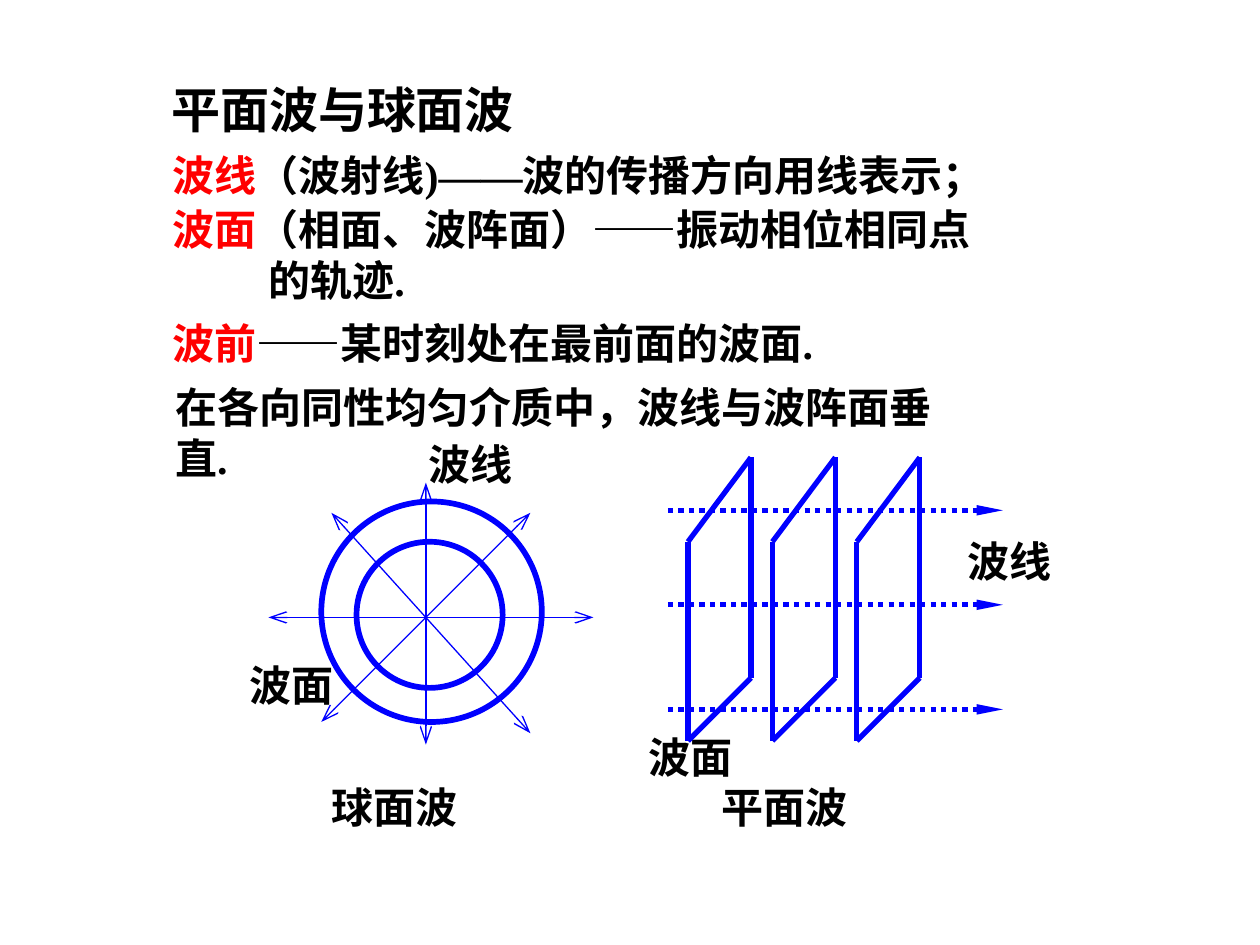
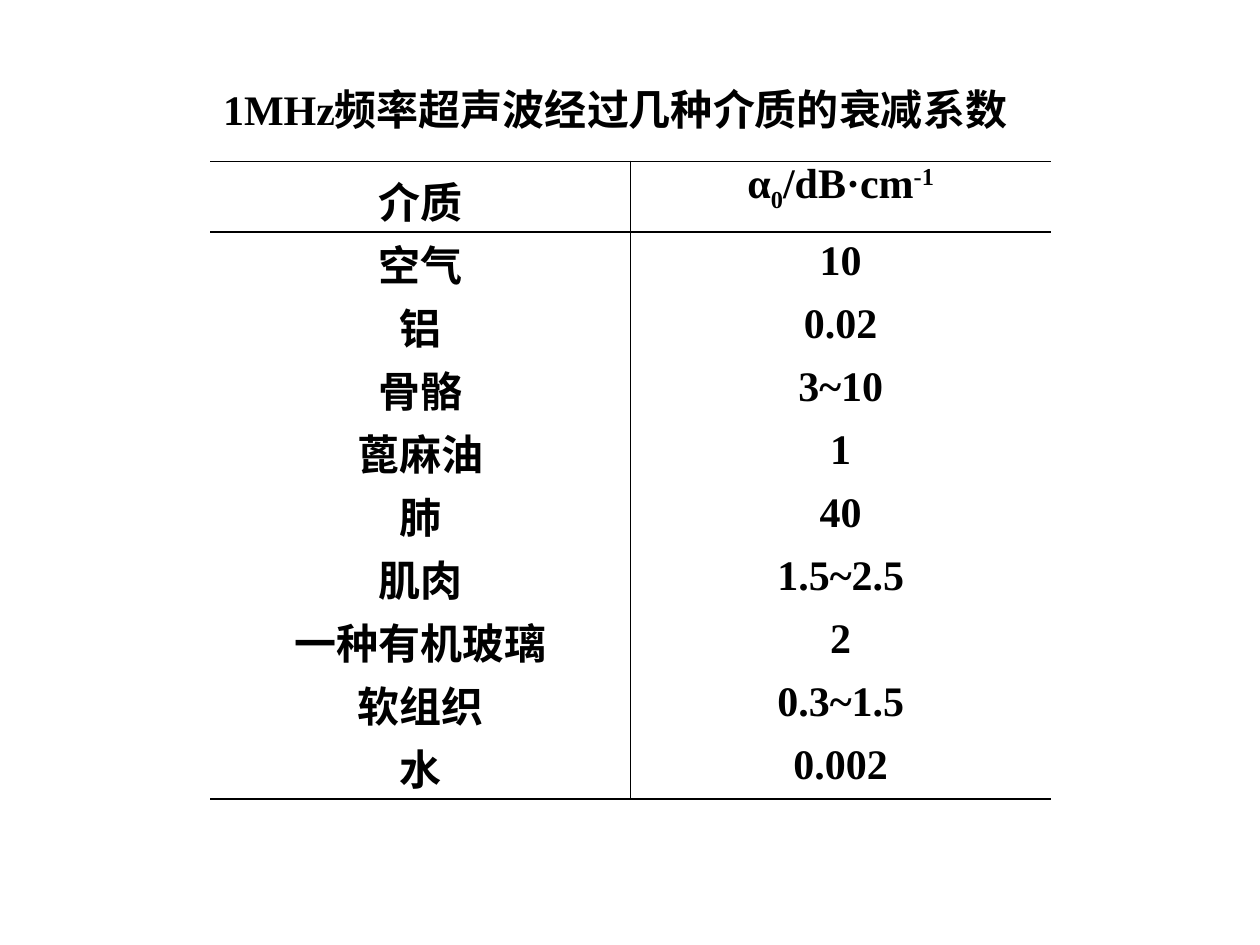
from lxml import etree
from pptx import Presentation
from pptx.dml.color import RGBColor
from pptx.enum.dml import MSO_LINE
from pptx.enum.shapes import MSO_CONNECTOR, MSO_SHAPE
from pptx.enum.text import MSO_ANCHOR, MSO_AUTO_SIZE, PP_ALIGN
from pptx.oxml.ns import qn
from pptx.util import Inches, Pt

STRAIGHT, OVAL = MSO_CONNECTOR.STRAIGHT, MSO_SHAPE.OVAL
DOTTED = MSO_LINE.ROUND_DOT
LEFT, CENTER, TOP = PP_ALIGN.LEFT, PP_ALIGN.CENTER, MSO_ANCHOR.TOP
NO_AUTOFIT = MSO_AUTO_SIZE.NONE

COLORS = {"text": "000000", "term": "FF0000", "wave": "0000FF"}
LATIN, CJK = "Times New Roman", "Noto Sans CJK SC"
TEXT_SIZE = 24
LINE_FACTOR = 1.3

# term, lines of its explanation, space before (pt), left margin (in), hanging indent (in)
DEFINITIONS = [
    ("波线", ["（波射线)——波的传播方向用线表示；"], 0, 0, 0),
    ("波面", ["（相面、波阵面）——振动相位相同点", "的轨迹."], 2, 0.76, 0.76),
    ("波前", ["——某时刻处在最前面的波面."], 7, 0, 0),
    ("", ["在各向同性均匀介质中，波线与波阵面垂", "直."], 8, 0.02, 0),
]

# text and its baseline shift in thousandths of a percent
UNIT = [("α", 0), ("0", -25000), ("/dB·cm", 0), ("-1", 30000)]
ATTENUATION = [
    ("空气", "10"),
    ("铝", "0.02"),
    ("骨骼", "3~10"),
    ("蓖麻油", "1"),
    ("肺", "40"),
    ("肌肉", "1.5~2.5"),
    ("一种有机玻璃", "2"),
    ("软组织", "0.3~1.5"),
    ("水", "0.002"),
]


def rgb(name):
    return RGBColor.from_string(COLORS[name])


def format_paragraph(paragraph, size=TEXT_SIZE, spacing=None, align=LEFT):
    """Apply the shared bold type; spacing is an exact line height in points."""
    paragraph.alignment = align
    paragraph.line_spacing = Pt(spacing or size * LINE_FACTOR)
    font = paragraph.font
    font.size, font.bold, font.name = Pt(size), True, LATIN
    font.color.rgb = rgb("text")
    defaults = paragraph._p.pPr.find(qn("a:defRPr"))
    etree.SubElement(defaults, qn("a:ea"), typeface=CJK)


def place(shape, left, top, width, height):
    shape.left, shape.top = Inches(left), Inches(top)
    shape.width, shape.height = Inches(width), Inches(height)
    frame = shape.text_frame
    frame.auto_size, frame.vertical_anchor = NO_AUTOFIT, TOP
    return frame


def add_title(slide, text, left, top, size):
    frame = place(slide.shapes.title, left, top, 7.2, 0.6)
    frame.text = text
    format_paragraph(frame.paragraphs[0], size)


def add_label(slide, text, left, top, width=0.87):
    box = slide.shapes.add_textbox(
        Inches(left), Inches(top), Inches(width), Inches(0.5))
    box.text_frame.word_wrap = False
    box.text_frame.text = text
    format_paragraph(box.text_frame.paragraphs[0])


def add_line(slide, start, end, width, arrows=None, dash=None):
    """arrows maps headEnd or tailEnd to its type, width and length."""
    line = slide.shapes.add_connector(
        STRAIGHT, *(Inches(value) for value in (*start, *end)))
    line.line.color.rgb = rgb("wave")
    line.line.width = Pt(width)
    if dash:
        line.line.dash_style = dash
    outline = line.line._get_or_add_ln()
    for tag, (kind, breadth, length) in (arrows or {}).items():
        etree.SubElement(outline, qn(f"a:{tag}"), type=kind, w=breadth, len=length)
    etree.SubElement(line._element.spPr, qn("a:effectLst"))


def add_wavefront_circle(slide, left, top, diameter):
    circle = slide.shapes.add_shape(
        OVAL, Inches(left), Inches(top), Inches(diameter), Inches(diameter))
    circle.shadow.inherit = False
    circle.fill.background()
    circle.line.color.rgb = rgb("wave")
    circle.line.width = Pt(3.25)


def add_definitions(slide, left, top, width, height):
    frame = place(slide.placeholders[1], left, top, width, height)
    for index, (term, lines, before, margin, hanging) in enumerate(DEFINITIONS):
        paragraph = frame.paragraphs[0] if index == 0 else frame.add_paragraph()
        properties = paragraph._p.get_or_add_pPr()
        properties.set("marL", str(Inches(margin)))
        properties.set("indent", str(-Inches(hanging)))
        etree.SubElement(properties, qn("a:buNone"))
        paragraph.space_before = Pt(before)
        format_paragraph(paragraph, spacing=29)
        if term:
            run = paragraph.add_run()
            run.text = term
            run.font.color.rgb = rgb("term")
        for number, text in enumerate(lines):
            if number:
                paragraph.add_line_break()
            paragraph.add_run().text = text


def add_spherical_wave(slide, left, top):
    both_ends = {end: ("arrow", "med", "lg") for end in ("headEnd", "tailEnd")}
    rays = [((0.25, 1.5), (2.83, 1.5)), ((1.5, 0.43), (1.5, 2.51)),
            ((2.33, 0.67), (0.67, 2.33)), ((0.75, 0.67), (2.33, 2.42))]
    add_wavefront_circle(slide, left + 0.67, top + 0.58, 1.75)
    for (x1, y1), (x2, y2) in rays:
        add_line(slide, (left + x1, top + y1), (left + x2, top + y2), 0.75, both_ends)
    add_wavefront_circle(slide, left + 0.95, top + 0.9, 1.16)
    add_label(slide, "波面", left, top + 1.75)
    add_label(slide, "波线", left + 1.42, top)
    add_label(slide, "球面波", left + 0.65, top + 2.72, 1.21)


def add_plane_wave(slide, left, top):
    add_label(slide, "平面波", left + 0.58, top + 2.49, 1.21)
    add_label(slide, "波线", left + 2.53, top + 0.54)
    add_label(slide, "波面", left, top + 2.09)
    corners = [(0.5, 0), (0, 0.67), (0, 2.25), (0.5, 1.75)]
    for plane in range(3):
        x = left + 0.41 + plane * 0.67
        points = [(x + dx, top + dy) for dx, dy in corners]
        for start, end in zip(points, points[1:] + points[:1]):
            add_line(slide, start, end, 3)
    arrow = {"tailEnd": ("triangle", "sm", "lg")}
    for dy in (0.42, 1.17, 2):
        add_line(slide, (left + 0.25, top + dy), (left + 2.91, top + dy),
                 3, arrow, DOTTED)


def set_borders(cell, visible):
    """Draw the edges named in visible (L, R, T, B) and clear the others."""
    properties = cell._tc.get_or_add_tcPr()
    for position, edge in enumerate("LRTB"):
        border = etree.Element(qn(f"a:ln{edge}"), w=str(Pt(1)))
        if edge in visible:
            fill = etree.SubElement(border, qn("a:solidFill"))
            etree.SubElement(fill, qn("a:srgbClr"), val=COLORS["text"])
        else:
            etree.SubElement(border, qn("a:noFill"))
        properties.insert(position, border)


def fill_cell(cell, pieces, spacing, visible):
    cell.margin_top = cell.margin_bottom = 0
    cell.vertical_anchor = TOP
    cell.fill.background()
    set_borders(cell, visible)
    paragraph = cell.text_frame.paragraphs[0]
    format_paragraph(paragraph, spacing=spacing, align=CENTER)
    for text, baseline in pieces:
        run = paragraph.add_run()
        run.text = text
        if baseline:
            run.font._element.set("baseline", str(baseline))


def add_attenuation_table(slide, left, top, width, height):
    rows = [("介质", UNIT)] + [(medium, [(value, 0)]) for medium, value in ATTENUATION]
    last = len(rows) - 1
    table = slide.shapes.add_table(
        len(rows), 2, Inches(left), Inches(top), Inches(width), Inches(height)).table
    table.first_row = table.horz_banding = False
    for index, (medium, value) in enumerate(rows):
        row = table.rows[index]
        row.height = Inches(0.5 if index else 0.56)
        edges = ("T" if index < 2 else "") + ("B" if index in (0, last) else "")
        fill_cell(row.cells[0], [(medium, 0)], row.height.pt - 0.5, edges + "R")
        fill_cell(row.cells[1], value, 30, edges + "L")


def build_wave_slide(deck):
    slide = deck.slides.add_slide(deck.slide_layouts[1])
    add_title(slide, "平面波与球面波", 1.26, 0.54, 28)
    add_definitions(slide, 1.27, 1.13, 7.6, 2.8)
    add_spherical_wave(slide, 1.88, 3.4)
    add_plane_wave(slide, 5.05, 3.63)


def build_attenuation_slide(deck):
    slide = deck.slides.add_slide(deck.slide_layouts[5])
    add_title(slide, "1MHz频率超声波经过几种介质的衰减系数", 1.67, 0.58, TEXT_SIZE)
    add_attenuation_table(slide, 1.67, 1.28, 6.67, 5.06)


def main():
    deck = Presentation()
    deck.slide_width, deck.slide_height = Inches(10), Inches(7.5)
    build_wave_slide(deck)
    build_attenuation_slide(deck)
    deck.save("out.pptx")


if __name__ == "__main__":
    main()
